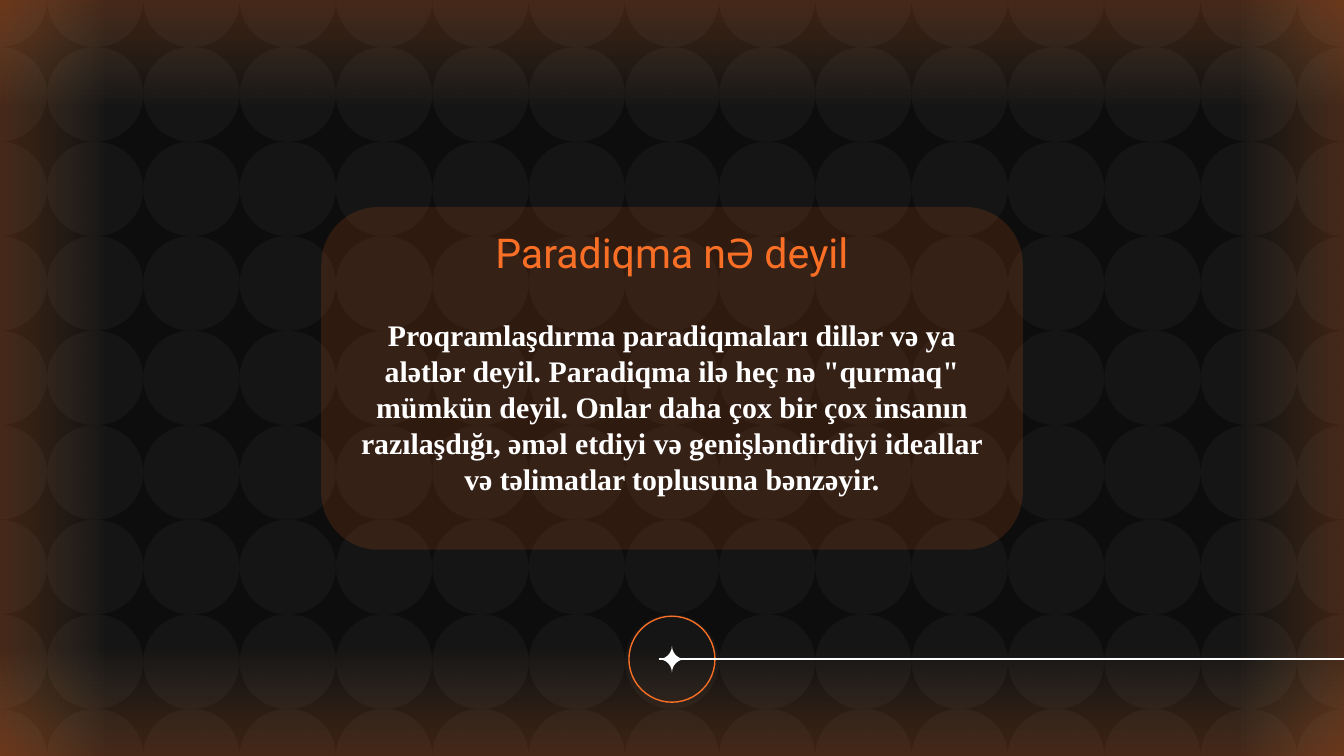
import pptx
import pptx.util
import pptx.dml.color
import pptx.enum.shapes
import pptx.enum.text
import pptx.oxml
import pptx.oxml.ns

Inches = pptx.util.Inches
Pt = pptx.util.Pt
Shape = pptx.enum.shapes.MSO_SHAPE
Anchor = pptx.enum.text.MSO_ANCHOR

# Content
TITLE = "Paradiqma nƏ deyil"
BODY = (
    "Proqramlaşdırma paradiqmaları dillər və ya alətlər deyil. "
    "Paradiqma ilə heç nə \"qurmaq\" mümkün deyil. "
    "Onlar daha çox bir çox insanın razılaşdığı, əməl etdiyi və "
    "genişləndirdiyi ideallar və təlimatlar toplusuna bənzəyir."
)
COLORS = {
    "back": "161515",
    "tile": "000000",
    "pale": "FFC982",
    "accent": "F96F25",
    "white": "FFFFFF",
}

# Layout
WIDE = 10
HIGH = WIDE * 9 / 16
TILE = 0.7
ROWS, COLS = 8, 7  # columns in each half of the slide
HALF = WIDE / 2
STEP_X = (HALF - TILE) / (COLS - 1)
STEP_Y = (HIGH - TILE) / (ROWS - 1)
RING, STAR = 0.64, 0.2
HUB = HIGH - 0.72  # height of the ring's centre and the line
BAND = 0.81
# Edge glows: box, rotation, mirrored
GLOWS = [
    ((0, -0.01, BAND, 5.63), 0, False),
    ((9.2, -0.01, BAND, 5.63), 180, False),
    ((4.6, -4.6, BAND, WIDE), 90, False),
    ((4.6, 0.22, BAND, WIDE), 90, True),
]


def paint(color, name):
    color.rgb = pptx.dml.color.RGBColor.from_string(COLORS[name])


def fade(node, alpha):
    """Set the opacity, in percent, of the colours in a node."""
    for color in node.iter(pptx.oxml.ns.qn("a:srgbClr")):
        color.append(pptx.oxml.parse_xml(
            f'<a:alpha {pptx.oxml.ns.nsdecls("a")} val="{alpha * 1000}"/>'))


def add_shape(slide, kind, box, fill=None, alpha=100, adj=None):
    shape = slide.shapes.add_shape(kind, *map(Inches, box))
    shape.shadow.inherit = False
    shape.line.fill.background()
    if adj is not None:
        shape.adjustments[0] = adj
    if fill:
        shape.fill.solid()
        paint(shape.fill.fore_color, fill)
        if alpha < 100:
            fade(shape.fill._xPr, alpha)
    else:
        shape.fill.background()
    return shape


def add_glow(slide, box, turn, flip):
    glow = add_shape(slide, Shape.RECTANGLE, box)
    glow.rotation = turn
    if flip:
        glow._element.spPr.xfrm.set("flipH", "1")
    glow.fill.gradient()
    glow.fill.gradient_angle = 180
    looks = [("pale", 0, 0), ("accent", 22, 1)]
    for stop, (name, alpha, place) in zip(glow.fill.gradient_stops, looks):
        paint(stop.color, name)
        stop.position = place
        fade(stop._gs, alpha)


def write(slide, holder, box, text, size, font, color, bold, anchor):
    # Bring the placeholder in front of the shapes drawn so far
    slide.shapes._spTree.append(holder._element)
    holder.left, holder.top, holder.width, holder.height = map(Inches, box)
    frame = holder.text_frame
    frame.word_wrap = True
    frame.auto_size = pptx.enum.text.MSO_AUTO_SIZE.NONE
    frame.vertical_anchor = anchor
    frame.margin_left = frame.margin_right = Inches(0.1)
    frame.margin_top = frame.margin_bottom = Inches(0.1)
    para = frame.paragraphs[0]
    para.alignment = pptx.enum.text.PP_ALIGN.CENTER
    para.space_before = Pt(0)
    run = para.add_run()
    run.text = text
    run.font.size = Pt(size)
    run.font.name = font
    run.font.bold = bold
    paint(run.font.color, color)


def main():
    deck = pptx.Presentation()
    deck.slide_width, deck.slide_height = Inches(WIDE), Inches(HIGH)
    slide = deck.slides.add_slide(deck.slide_layouts[0])
    slide.background.fill.solid()
    paint(slide.background.fill.fore_color, "back")

    # Tiled backdrop
    for row in range(ROWS):
        for col in range(2 * COLS):
            half, spot = divmod(col, COLS)
            box = (half * HALF + spot * STEP_X, row * STEP_Y, TILE, TILE)
            add_shape(slide, Shape.PLAQUE, box, "tile", 34, 0.5)

    # Glowing edges
    for box, turn, flip in GLOWS:
        add_glow(slide, box, turn, flip)

    # Card with title and text
    add_shape(slide, Shape.ROUNDED_RECTANGLE, (2.39, 1.54, 5.22, 2.55),
              "accent", 14, 0.167)
    write(slide, slide.shapes.title, (2.56, 1.64, 4.88, 0.52), TITLE,
          22, "Roboto", "accent", False, Anchor.BOTTOM)
    write(slide, slide.placeholders[1], (2.56, 1.96, 4.88, 2.13), BODY,
          16, "Times New Roman", "white", True, Anchor.MIDDLE)

    # Ring, star and line
    ring = add_shape(slide, Shape.OVAL,
                     (HALF - RING / 2, HUB - RING / 2, RING, RING))
    paint(ring.line.color, "accent")
    ring.line.width = Pt(0.75)
    left = HALF - STAR / 2
    add_shape(slide, Shape.PLAQUE, (left, HUB - STAR / 2, STAR, STAR),
              "white", adj=0.5)
    line = slide.shapes.add_connector(
        pptx.enum.shapes.MSO_CONNECTOR.STRAIGHT,
        Inches(left), Inches(HUB), Inches(10.02), Inches(HUB))
    paint(line.line.color, "white")
    line.line.width = Pt(0.75)
    line._element.spPr.append(pptx.oxml.parse_xml(
        f'<a:effectLst {pptx.oxml.ns.nsdecls("a")}/>'))

    deck.save("out.pptx")


if __name__ == "__main__":
    main()
